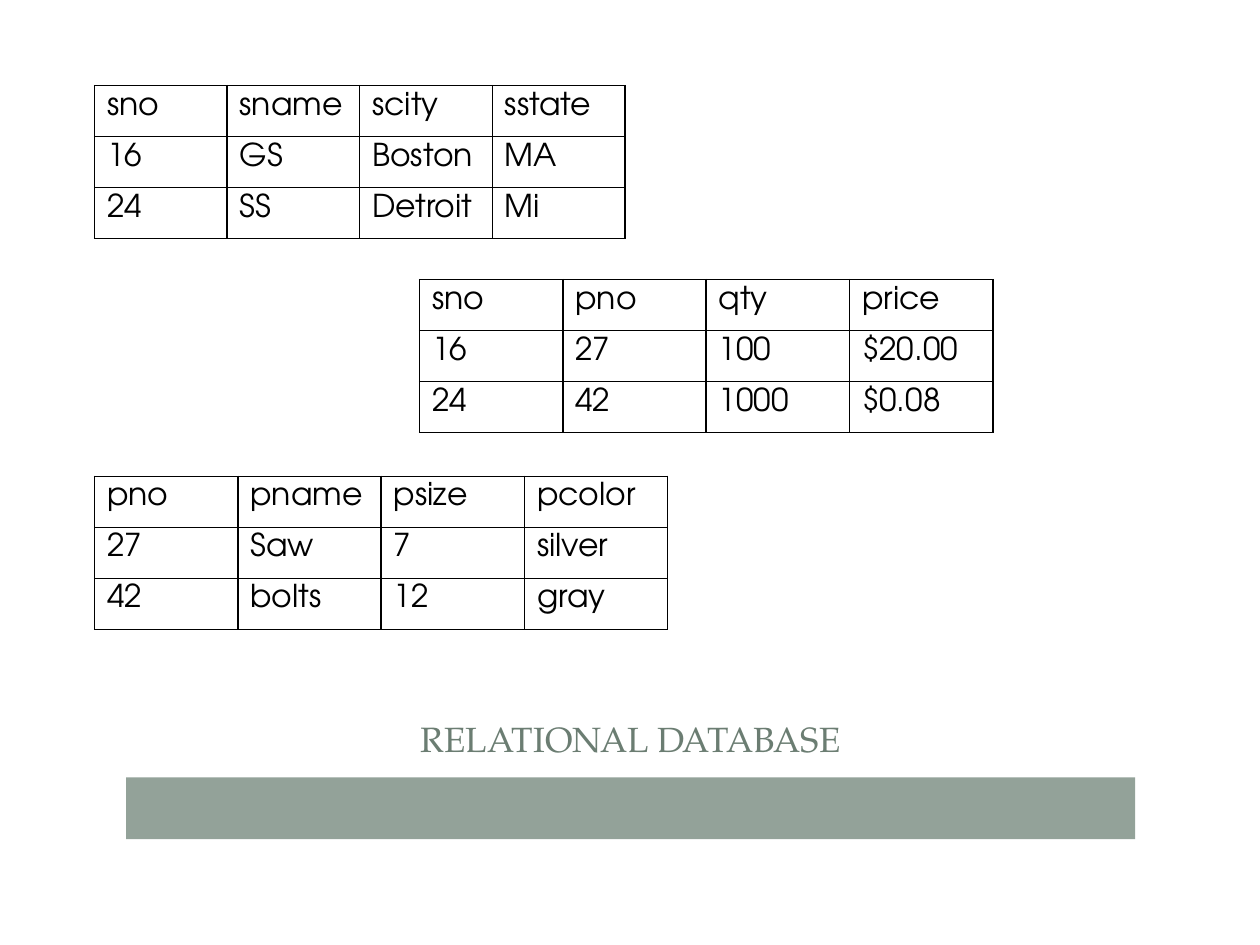
"""Build a slide with three related tables above a title and a colour band."""
from lxml import etree
from pptx import Presentation
from pptx.dml.color import RGBColor
from pptx.enum.shapes import MSO_SHAPE
from pptx.enum.text import MSO_ANCHOR, PP_ALIGN
from pptx.oxml.ns import qn
from pptx.util import Inches, Pt

RECT = MSO_SHAPE.RECTANGLE
MIDDLE = MSO_ANCHOR.MIDDLE
LEFT, CENTER = PP_ALIGN.LEFT, PP_ALIGN.CENTER

BODY_FONT, TITLE_FONT = "TeX Gyre Adventor", "TeX Gyre Pagella"
BLACK, GREEN, DARK_GREEN = "000000", "93A299", "6B7D72"
ROW_HEIGHT = 0.405
TITLE = "RELATIONAL DATABASE"
TABLES = [
    (0.75, 0.68, 4.21, [
        ("sno", "sname", "scity", "sstate"),
        ("16", "GS", "Boston", "MA"),
        ("24", "SS", "Detroit", "Mi"),
    ]),
    (3.33, 2.22, 4.55, [
        ("sno", "pno", "qty", "price"),
        ("16", "27", "100", "$20.00"),
        ("24", "42", "1000", "$0.08"),
    ]),
    (0.75, 3.78, 4.55, [
        ("pno", "pname", "psize", "pcolor"),
        ("27", "Saw", "7", "silver"),
        ("42", "bolts", "12", "gray"),
    ]),
]


def rgb(color):
    return RGBColor.from_string(color)


def write(tf, text, size=18, font=BODY_FONT, color=BLACK, align=LEFT):
    p = tf.paragraphs[0]
    p.alignment = align
    r = p.add_run()
    r.text = text
    r.font.size = Pt(size)
    r.font.name = font
    r.font.bold = False
    r.font.color.rgb = rgb(color)


def add_borders(cell, color=BLACK, width=1):
    tc_pr = cell._tc.get_or_add_tcPr()
    for side in ("a:lnL", "a:lnR", "a:lnT", "a:lnB"):
        ln = etree.SubElement(tc_pr, qn(side), w=str(Pt(width)))
        fill = etree.SubElement(ln, qn("a:solidFill"))
        etree.SubElement(fill, qn("a:srgbClr"), val=color)


def add_grid(s, left, top, width, rows):
    n_rows, n_cols = len(rows), len(rows[0])
    table = s.shapes.add_table(n_rows, n_cols, Inches(left), Inches(top),
                               Inches(width), Inches(ROW_HEIGHT * n_rows)).table
    table.first_row = table.horz_banding = False
    for i, row in enumerate(rows):
        for j, text in enumerate(row):
            cell = table.cell(i, j)
            add_borders(cell)
            cell.fill.background()
            write(cell.text_frame, text)


def main():
    prs = Presentation()
    prs.slide_width, prs.slide_height = Inches(10), Inches(7.5)
    s = prs.slides.add_slide(prs.slide_layouts[6])

    band = s.shapes.add_shape(RECT, Inches(1), Inches(6.17), Inches(8.01), Inches(0.49))
    band.shadow.inherit = False
    band.fill.solid()
    band.fill.fore_color.rgb = rgb(GREEN)
    band.line.fill.background()

    for left, top, width, rows in TABLES:
        add_grid(s, left, top, width, rows)

    title = s.shapes.add_textbox(Inches(1), Inches(5.58), Inches(8.01), Inches(0.57))
    tf = title.text_frame
    tf.word_wrap = True
    tf.vertical_anchor = MIDDLE
    write(tf, TITLE, size=20, font=TITLE_FONT, color=DARK_GREEN, align=CENTER)

    prs.save("out.pptx")


if __name__ == "__main__":
    main()
